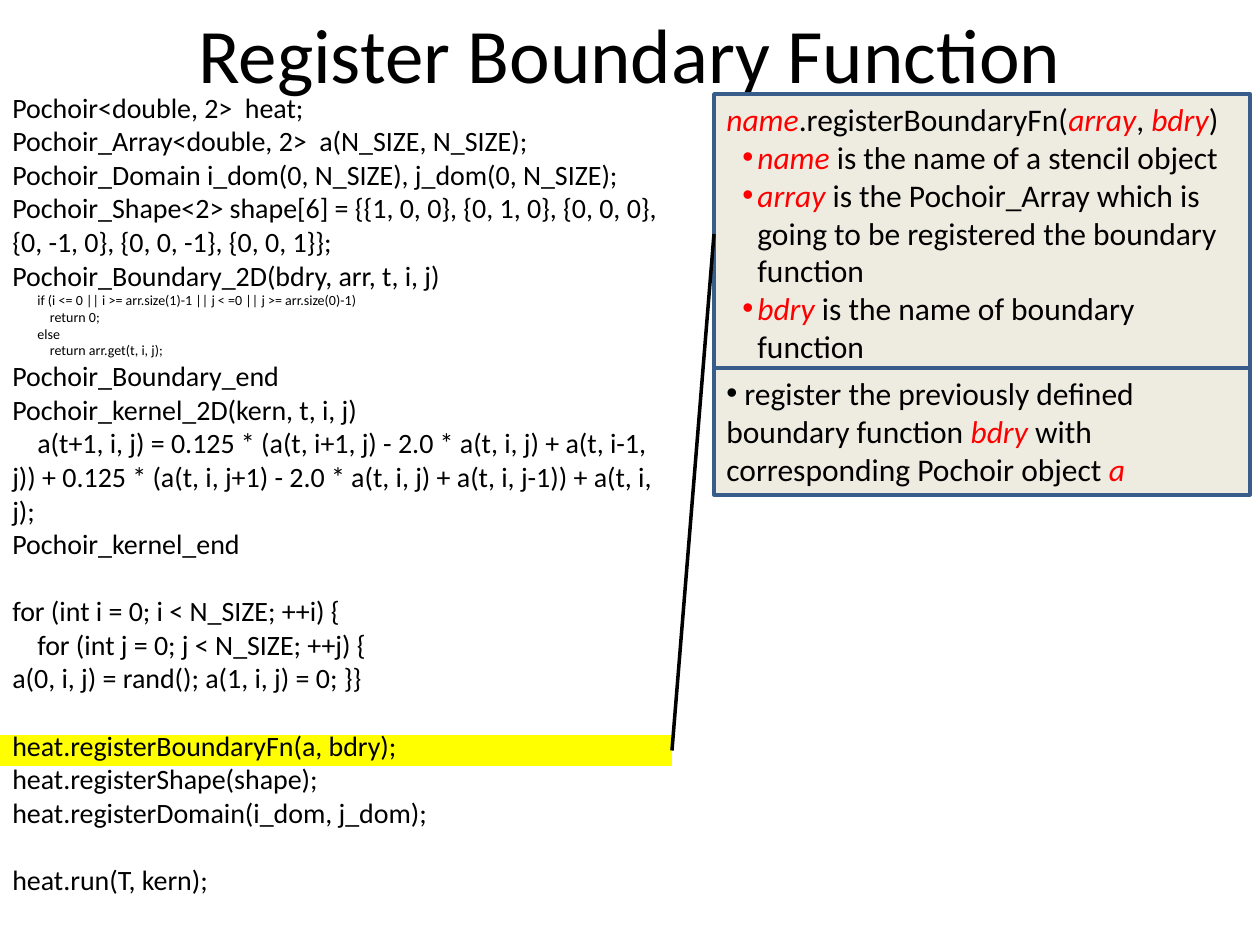
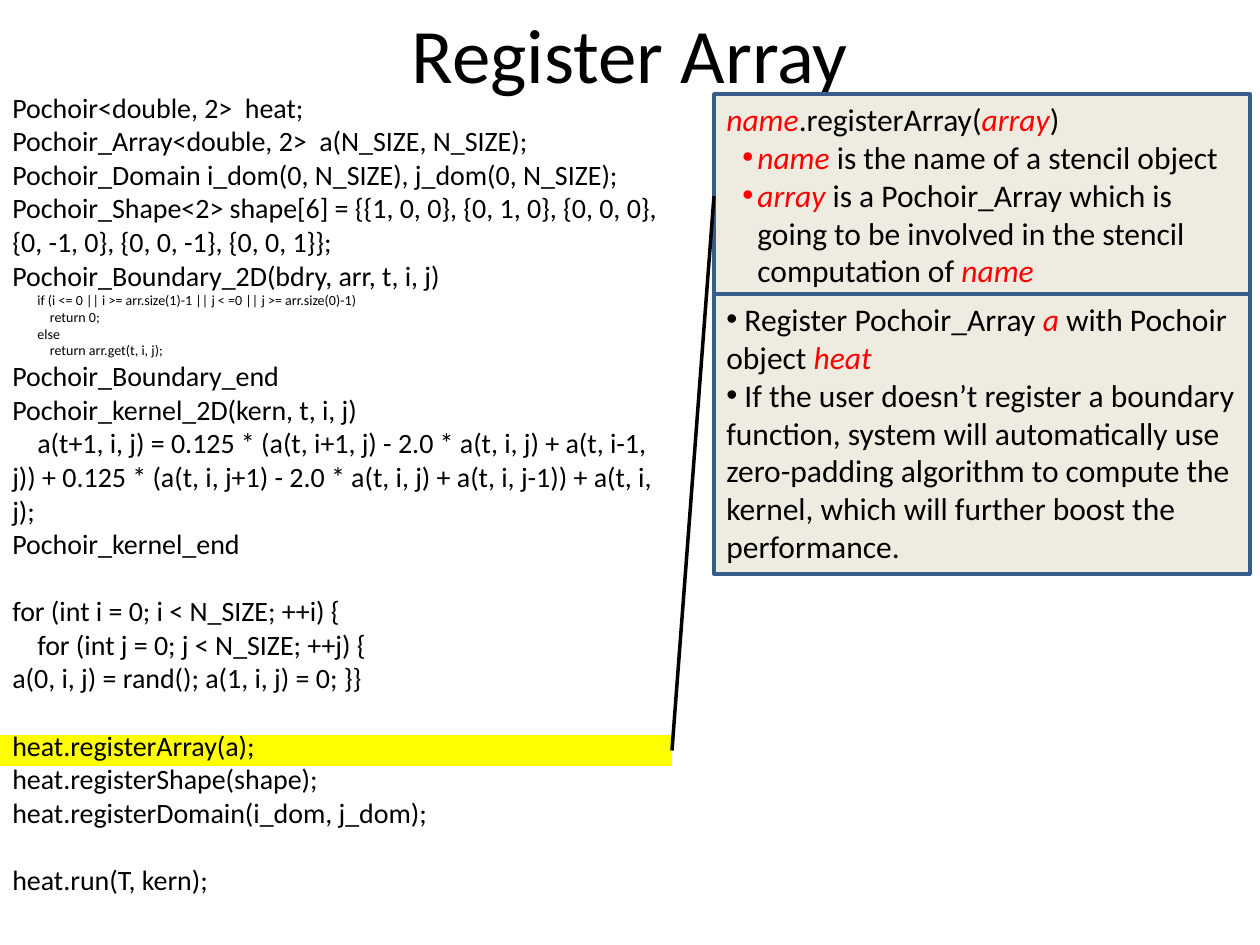
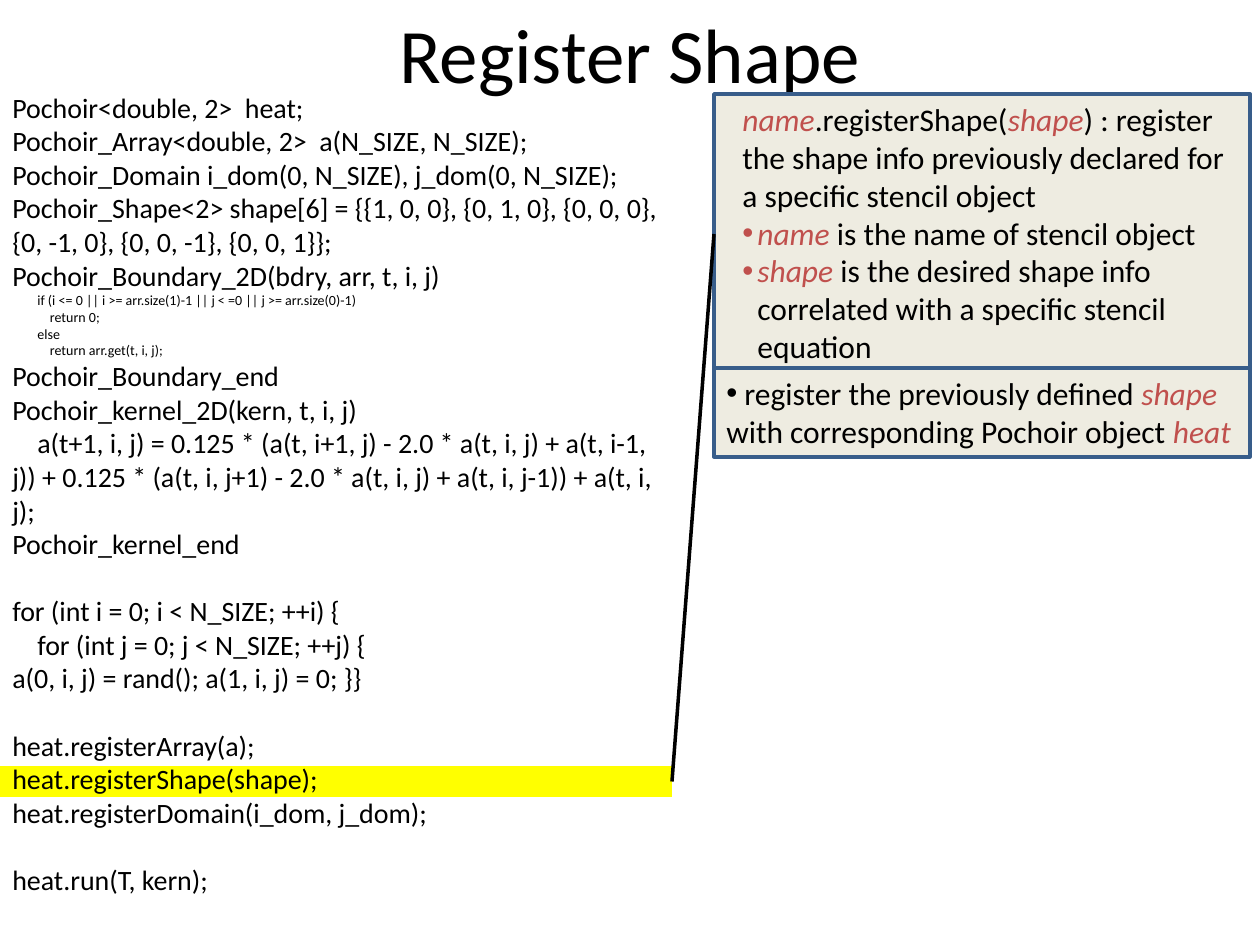
from pptx import Presentation
from pptx.dml.color import RGBColor
from pptx.enum.shapes import MSO_CONNECTOR, MSO_SHAPE
from pptx.enum.text import MSO_ANCHOR, PP_ALIGN
from pptx.oxml.ns import qn
from pptx.util import Pt
from lxml import etree

RECTANGLE = MSO_SHAPE.RECTANGLE
STRAIGHT = MSO_CONNECTOR.STRAIGHT
MIDDLE, TOP = MSO_ANCHOR.MIDDLE, MSO_ANCHOR.TOP
LEFT, CENTER = PP_ALIGN.LEFT, PP_ALIGN.CENTER

PX = 914400 / 126
FONT = "Calibri"
BLACK, YELLOW, BEIGE, BLUE = "000000", "FFFF00", "EEECE1", "385D8A"
RED, BRICK = "FF0000", "C0504D"
CODE_SIZE, SMALL_SIZE, NOTE_SIZE, TITLE_SIZE = 16, 8, 18, 44
CODE_LINE = Pt(19.2)

BAND_TOP, BAND_WIDTH, BAND_HEIGHT = 735, 672, 31
PANEL_LEFT, PANEL_TOP, PANEL_WIDTH = 714, 94, 536
TAB, BULLET_MARGIN, BULLET_HANG = 25, 31, -15

CODE_START = [
    ("Pochoir<double, 2>  heat;", CODE_SIZE, 0, 0),
    ("Pochoir_Array<double, 2>  a(N_SIZE, N_SIZE);", CODE_SIZE, 0, 0),
    ("Pochoir_Domain i_dom(0, N_SIZE), j_dom(0, N_SIZE);", CODE_SIZE, 0, 0),
    ("Pochoir_Shape<2> shape[6] = {{1, 0, 0}, {0, 1, 0}, {0, 0, 0}, "
     "{0, -1, 0}, {0, 0, -1}, {0, 0, 1}};", CODE_SIZE, 0, 0),
    ("Pochoir_Boundary_2D(bdry, arr, t, i, j)", CODE_SIZE, 0, 0),
    ("if (i <= 0 || i >= arr.size(1)-1 || j < =0 || j >= arr.size(0)-1)", SMALL_SIZE, TAB, 0),
    ("return 0;", SMALL_SIZE, TAB * 1.5, 0),
    ("else", SMALL_SIZE, TAB, 0),
    ("return arr.get(t, i, j);", SMALL_SIZE, TAB * 1.5, 0),
    ("Pochoir_Boundary_end", CODE_SIZE, 0, 0),
    ("Pochoir_kernel_2D(kern, t, i, j)", CODE_SIZE, 0, 0),
    ("a(t+1, i, j) = 0.125 * (a(t, i+1, j) - 2.0 * a(t, i, j) + a(t, i-1, j)) + "
     "0.125 * (a(t, i, j+1) - 2.0 * a(t, i, j) + a(t, i, j-1)) + a(t, i, j);", CODE_SIZE, TAB, 0),
    ("Pochoir_kernel_end", CODE_SIZE, 0, 0),
    ("for (int i = 0; i < N_SIZE; ++i) {", CODE_SIZE, 0, 1),
    ("for (int j = 0; j < N_SIZE; ++j) {", CODE_SIZE, TAB, 0),
    ("a(0, i, j) = rand(); a(1, i, j) = 0; }}", CODE_SIZE, 0, 0),
]
CODE_END = [
    ("heat.registerShape(shape);", CODE_SIZE, 0, 0),
    ("heat.registerDomain(i_dom, j_dom);", CODE_SIZE, 0, 0),
    ("heat.run(T, kern);", CODE_SIZE, 0, 1),
]

# Asterisks switch the accent on and off; each paragraph is (text, indented, bulleted).
SLIDES = [
    {
        "title": "Register Boundary Function",
        "call": "heat.registerBoundaryFn(a, bdry);",
        "band_row": 0,
        "accent": RED,
        "panel_height": 280,
        "panel": [
            ("*name*.registerBoundaryFn(*array*, *bdry*)", False, False),
            ("*name *is the name of a stencil object", True, True),
            ("*array *is the Pochoir_Array which is going to be registered "
             "the boundary function", True, True),
            ("*bdry* is the name of boundary function", True, True),
        ],
        "note_top": 368,
        "note_height": 127,
        "note": [
            (" register the previously defined boundary function *bdry* "
             "with corresponding Pochoir object *a*", False, True),
        ],
    },
    {
        "title": "Register Array",
        "call": "heat.registerArray(a);",
        "band_row": 0,
        "accent": RED,
        "panel_height": 204,
        "panel": [
            ("*name*.registerArray(*array*)", False, False),
            ("*name *is the name of a stencil object", True, True),
            ("*array *is a Pochoir_Array which is going to be involved in the "
             "stencil computation of *name*", True, True),
        ],
        "note_top": 294,
        "note_height": 280,
        "note": [
            (" Register Pochoir_Array *a* with Pochoir object *heat*", False, True),
            (" If the user doesn’t register a boundary function, system will "
             "automatically use zero-padding algorithm to compute the kernel, "
             "which will further boost the performance.", False, True),
        ],
    },
    {
        "title": "Register Shape",
        "call": "heat.registerArray(a);",
        "band_row": 1,
        "accent": BRICK,
        "panel_height": 280,
        "panel": [
            ("*name*.registerShape(*shape*) : register", True, False),
            ("the shape info previously declared for", True, False),
            ("a specific stencil object", True, False),
            ("*name* is the name of stencil object", True, True),
            ("*shape* is the desired shape info correlated with a specific "
             "stencil equation", True, True),
        ],
        "note_top": 368,
        "note_height": 89,
        "note": [
            (" register the previously defined *shape* with corresponding "
             "Pochoir object *heat*", False, True),
        ],
    },
]


def px(length):
    return round(length * PX)


def color(value):
    return RGBColor.from_string(value)


deck = Presentation()
deck.slide_width, deck.slide_height = px(1260), px(945)

for content in SLIDES:
    page = deck.slides.add_slide(deck.slide_layouts[6])
    band_top = BAND_TOP + content["band_row"] * BAND_HEIGHT

    band = page.shapes.add_shape(RECTANGLE, 0, px(band_top), px(BAND_WIDTH), px(BAND_HEIGHT))
    band.shadow.inherit = False
    band.fill.solid()
    band.fill.fore_color.rgb = color(YELLOW)
    band.line.fill.background()

    code = page.shapes.add_textbox(0, px(84), px(682), px(827))
    code.text_frame.word_wrap = True
    lines = CODE_START + [(content["call"], CODE_SIZE, 0, 1)] + CODE_END
    code.text_frame.text = "\n".join(line[0] for line in lines)
    for para, (text, size, indent, blank_lines) in zip(code.text_frame.paragraphs, lines):
        para.space_before = CODE_LINE * blank_lines
        para._p.get_or_add_pPr().set("indent", str(px(indent)))
        para.font.size = Pt(size)
        span = para.runs[0]
        span.font.name, span.font.size = FONT, Pt(size)
        span.font.color.rgb = color(BLACK)

    title = page.shapes.add_textbox(px(63), 0, px(1134), px(105))
    title.text_frame.word_wrap = True
    title.text_frame.vertical_anchor = MIDDLE
    title.text_frame.text = content["title"]
    para = title.text_frame.paragraphs[0]
    para.alignment = CENTER
    span = para.runs[0]
    span.font.name, span.font.size = FONT, Pt(TITLE_SIZE)
    span.font.color.rgb = color(BLACK)

    panels = [
        (PANEL_TOP, content["panel_height"], content["panel"]),
        (content["note_top"], content["note_height"], content["note"]),
    ]
    for top, height, paragraphs in panels:
        box = page.shapes.add_shape(RECTANGLE, px(PANEL_LEFT), px(top), px(PANEL_WIDTH), px(height))
        box.shadow.inherit = False
        box.fill.solid()
        box.fill.fore_color.rgb = color(BEIGE)
        box.line.color.rgb = color(BLUE)
        box.line.width = Pt(2)
        frame = box.text_frame
        frame.word_wrap = True
        frame.vertical_anchor = TOP
        frame.text = "\n" * (len(paragraphs) - 1)
        for para, (text, indented, bulleted) in zip(frame.paragraphs, paragraphs):
            para.alignment = LEFT
            properties = para._p.get_or_add_pPr()
            if indented:
                para.level = 1
                properties.set("marL", str(px(BULLET_MARGIN)))
                properties.set("indent", str(px(BULLET_HANG)))
            if bulleted:
                etree.SubElement(properties, qn("a:buFont")).set("typeface", "Arial")
                etree.SubElement(properties, qn("a:buChar")).set("char", "•")
            for order, piece in enumerate(text.split("*")):
                if piece:
                    accented = order % 2 == 1
                    span = para.add_run()
                    span.text = piece
                    span.font.name, span.font.size = FONT, Pt(NOTE_SIZE)
                    span.font.italic = accented
                    span.font.color.rgb = color(content["accent"] if accented else BLACK)

        if top == PANEL_TOP:
            pointer = page.shapes.add_connector(
                STRAIGHT, px(BAND_WIDTH), px(band_top + BAND_HEIGHT / 2),
                px(PANEL_LEFT), px(top + height / 2))
            pointer.line.color.rgb = color(BLACK)
            pointer.line.width = Pt(2)
            etree.SubElement(pointer._element.spPr, qn("a:effectLst"))

deck.save("out.pptx")
